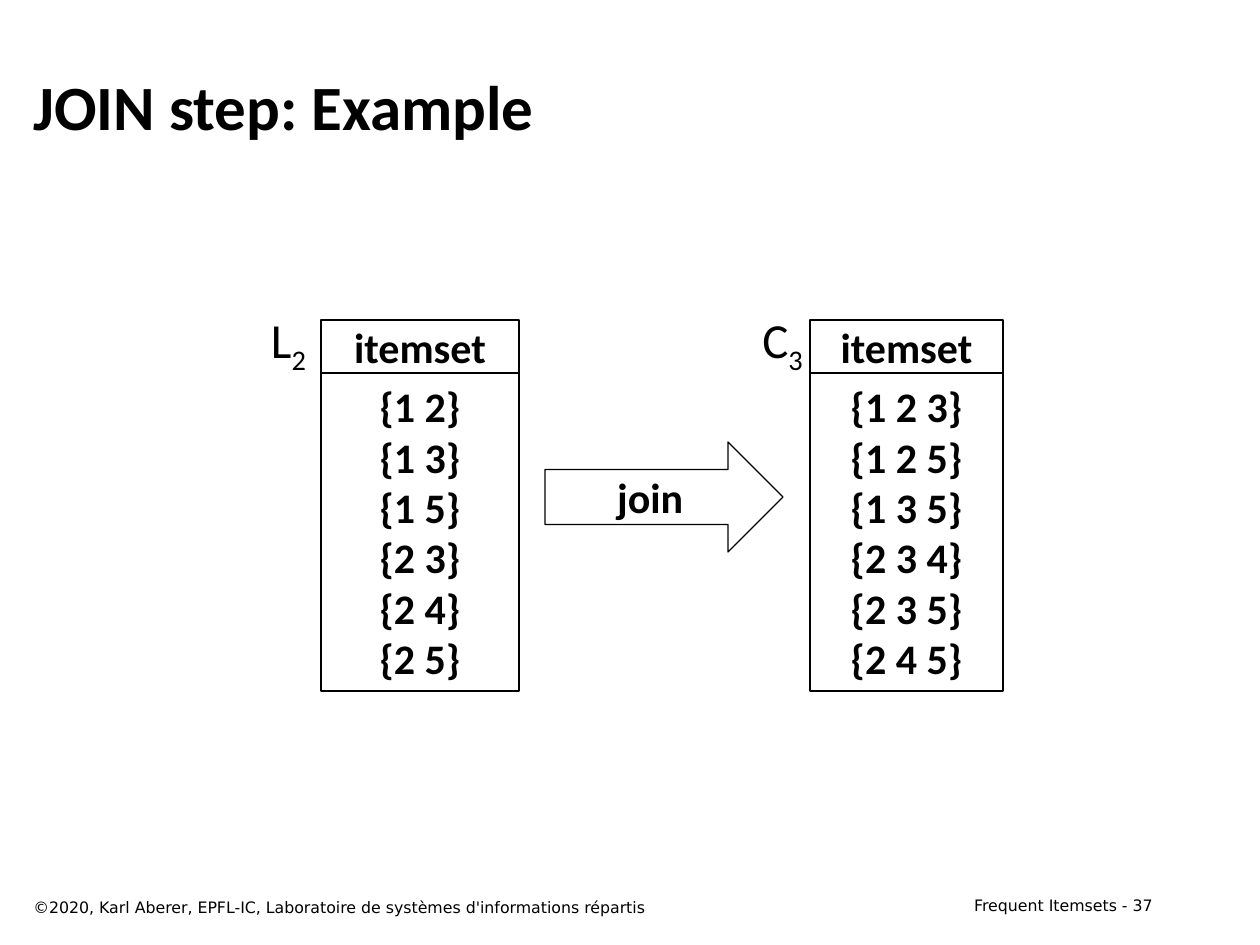
import pptx
import pptx.util
import pptx.dml.color
import pptx.enum.shapes
import pptx.enum.text

INK = {"text": "000000", "line": "000000", "fill": "FFFFFF"}
SHAPE = pptx.enum.shapes.MSO_SHAPE
ALIGN = pptx.enum.text.PP_ALIGN
ANCHOR = pptx.enum.text.MSO_ANCHOR


class Deck:
    """Holds the style and the current slide, and draws each kind of element."""

    def __init__(self, wide, high):
        self.prs = pptx.Presentation()
        self.prs.slide_width, self.prs.slide_height = self.emu(wide, high)
        self.slide = self.prs.slides.add_slide(self.prs.slide_layouts[6])

    def emu(self, *sizes):
        return [pptx.util.Emu(round(size * 914400 / 126)) for size in sizes]

    def color(self, name):
        return pptx.dml.color.RGBColor.from_string(INK[name])

    def style(self, para, size, bold=False, align=ALIGN.CENTER, face="Calibri"):
        para.alignment = align
        font = para.font
        font.name, font.size, font.bold = face, pptx.util.Pt(size), bold
        font.color.rgb = self.color("text")

    def text(self, box, words, size, bold=False, align=ALIGN.LEFT,
             face="Calibri", anchor=ANCHOR.TOP):
        frame = self.slide.shapes.add_textbox(*self.emu(*box)).text_frame
        frame.word_wrap = True
        frame.vertical_anchor = anchor
        para = frame.paragraphs[0]
        para.text = words
        self.style(para, size, bold, align, face)

    def label(self, box, letter, sub):
        frame = self.slide.shapes.add_textbox(*self.emu(*box)).text_frame
        frame.word_wrap = False
        frame.vertical_anchor = ANCHOR.MIDDLE
        para = frame.paragraphs[0]
        para.add_run().text = letter
        low = para.add_run()
        low.text = sub
        low._r.get_or_add_rPr().set("baseline", "-25000")
        self.style(para, 28)

    def shape(self, kind, box, lines, width=1, fill=None, wrap=False):
        item = self.slide.shapes.add_shape(kind, *self.emu(*box))
        item.shadow.inherit = False
        if fill:
            item.fill.solid()
            item.fill.fore_color.rgb = self.color(fill)
        else:
            item.fill.background()
        item.line.color.rgb = self.color("line")
        item.line.width = pptx.util.Pt(width)
        frame = item.text_frame
        frame.word_wrap = wrap
        frame.vertical_anchor = ANCHOR.MIDDLE
        frame.text = "\n".join(lines)
        for para in frame.paragraphs:
            self.style(para, 24, True)

    def itemset(self, left, wide, sets):
        self.shape(SHAPE.RECTANGLE, (left, 373, wide, 318), sets)
        self.shape(SHAPE.RECTANGLE, (left, 320, wide, 53), ["itemset"])


def main():
    deck = Deck(1260, 945)
    deck.text((903, 890, 262, 32), "Frequent Itemsets - 37", 9,
              align=ALIGN.RIGHT, face="DejaVu Sans")
    deck.text((21, 42, 1144, 126), "JOIN step: Example", 36, True,
              anchor=ANCHOR.MIDDLE)
    deck.text((21, 892, 809, 32),
              "©2020, Karl Aberer, EPFL-IC, Laboratoire de systèmes d'informations répartis",
              9, face="DejaVu Sans")
    deck.label((257, 307, 63, 72), "L", "2")
    deck.label((748, 307, 69, 72), "C", "3")
    deck.itemset(810, 193, ["{1 2 3}", "{1 2 5}", "{1 3 5}",
                            "{2 3 4}", "{2 3 5}", "{2 4 5}"])
    deck.itemset(321, 198, ["{1 2}", "{1 3}", "{1 5}",
                            "{2 3}", "{2 4}", "{2 5}"])
    deck.shape(SHAPE.RIGHT_ARROW, (545, 442, 238, 110), ["join"],
               0.75, "fill", True)
    deck.prs.save("out.pptx")


if __name__ == "__main__":
    main()
